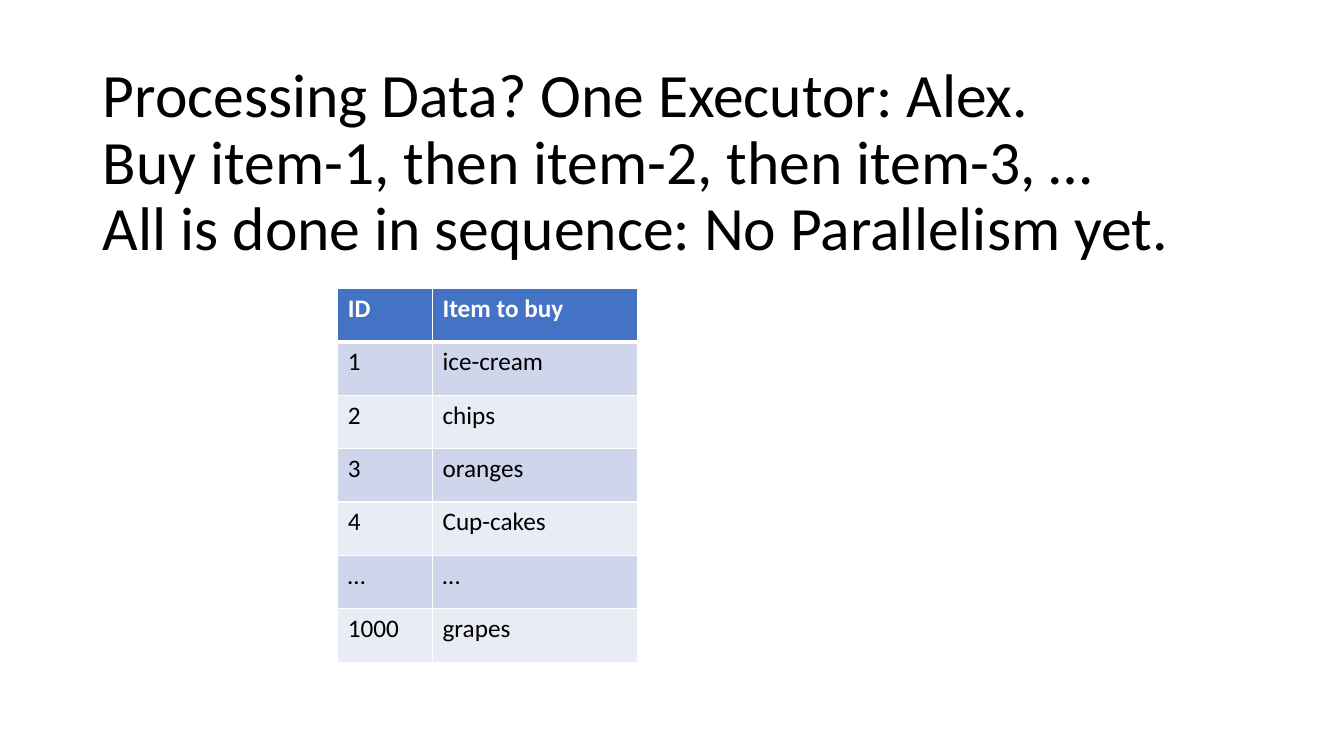
from dataclasses import dataclass

from pptx import Presentation
from pptx.dml.color import RGBColor
from pptx.enum import text
from pptx.oxml import parse_xml
from pptx.oxml.ns import nsdecls
from pptx.util import Inches, Pt

TITLE_LINES = [
    "Processing Data? One Executor: Alex.",
    "Buy item-1, then item-2, then item-3, …",
    "All is done in sequence: No Parallelism yet.",
]
SHOPPING_LIST = [
    ("ID", "Item to buy"),
    ("1", "ice-cream"),
    ("2", "chips"),
    ("3", "oranges"),
    ("4", "Cup-cakes"),
    ("…", "…"),
    ("1000", "grapes"),
]
COLUMN_WIDTHS = (0.94, 2.03)
ROW_HEIGHT = 0.53


@dataclass(frozen=True)
class Theme:
    font: str = "Calibri"
    title_size: int = 44
    table_size: int = 18
    ink: str = "000000"
    paper: str = "FFFFFF"
    header: str = "4472C4"
    bands: tuple = ("CFD5EA", "E9EBF5")
    rule: int = 1
    header_rule: int = 3


THEME = Theme()


def write(frame, content, *, size, color=THEME.ink, bold=False, spacing=None):
    para = frame.paragraphs[0]
    para.text = content
    para.alignment = text.PP_ALIGN.LEFT
    para.line_spacing = spacing
    for span in para.runs:
        span.font.name = THEME.font
        span.font.size = Pt(size)
        span.font.bold = bold
        span.font.color.rgb = RGBColor.from_string(color)


def add_borders(cell, **widths):
    """Draw cell borders; widths are points keyed by side: L, R, T, B in that order."""
    properties = cell._tc.get_or_add_tcPr()
    for side, width in widths.items():
        properties.append(parse_xml(
            f'<a:ln{side} {nsdecls("a")} w="{Pt(width)}"><a:solidFill>'
            f'<a:srgbClr val="{THEME.paper}"/></a:solidFill></a:ln{side}>'))


def add_title(page):
    box = page.shapes.title
    box.left, box.top = Inches(0.92), Inches(0.4)
    box.width, box.height = Inches(11.5), Inches(2.46)
    box.text_frame.vertical_anchor = text.MSO_ANCHOR.MIDDLE
    write(box.text_frame, "\v".join(TITLE_LINES), size=THEME.title_size, spacing=0.9)


def add_shopping_table(page):
    count = len(SHOPPING_LIST)
    table = page.shapes.add_table(
        count, len(COLUMN_WIDTHS), Inches(3.35), Inches(2.86),
        Inches(sum(COLUMN_WIDTHS)), Inches(ROW_HEIGHT * count)).table
    for column, width in zip(table.columns, COLUMN_WIDTHS):
        column.width = Inches(width)
    for index, values in enumerate(SHOPPING_LIST):
        is_header = index == 0
        fill = THEME.header if is_header else THEME.bands[(index - 1) % 2]
        for cell, value in zip(table.rows[index].cells, values):
            add_borders(
                cell, L=THEME.rule, R=THEME.rule,
                T=THEME.header_rule if index == 1 else THEME.rule,
                B=THEME.header_rule if is_header else THEME.rule)
            cell.fill.solid()
            cell.fill.fore_color.rgb = RGBColor.from_string(fill)
            write(cell.text_frame, value, size=THEME.table_size, bold=is_header,
                  color=THEME.paper if is_header else THEME.ink)


def main():
    deck = Presentation()
    deck.slide_width, deck.slide_height = Inches(13.33), Inches(7.5)
    page = deck.slides.add_slide(deck.slide_layouts.get_by_name("Title Only"))
    add_title(page)
    add_shopping_table(page)
    deck.save("out.pptx")


if __name__ == "__main__":
    main()
